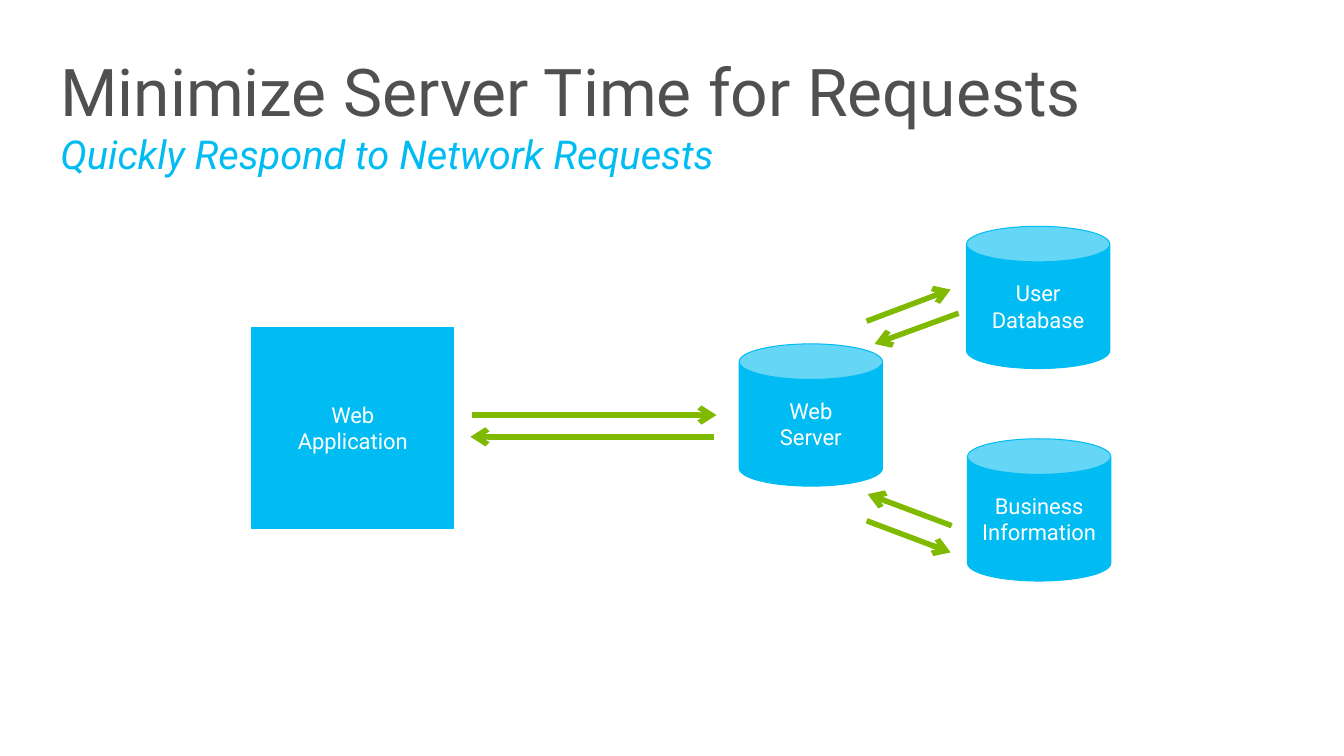
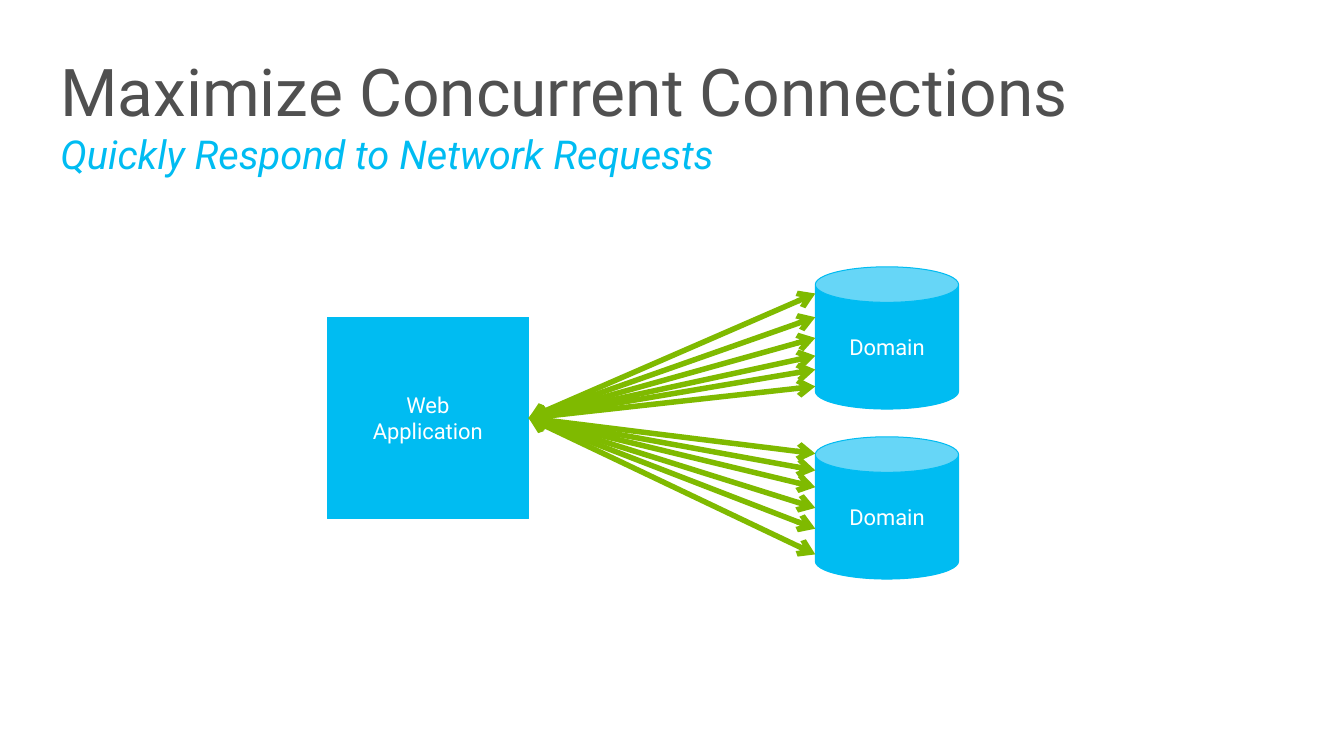
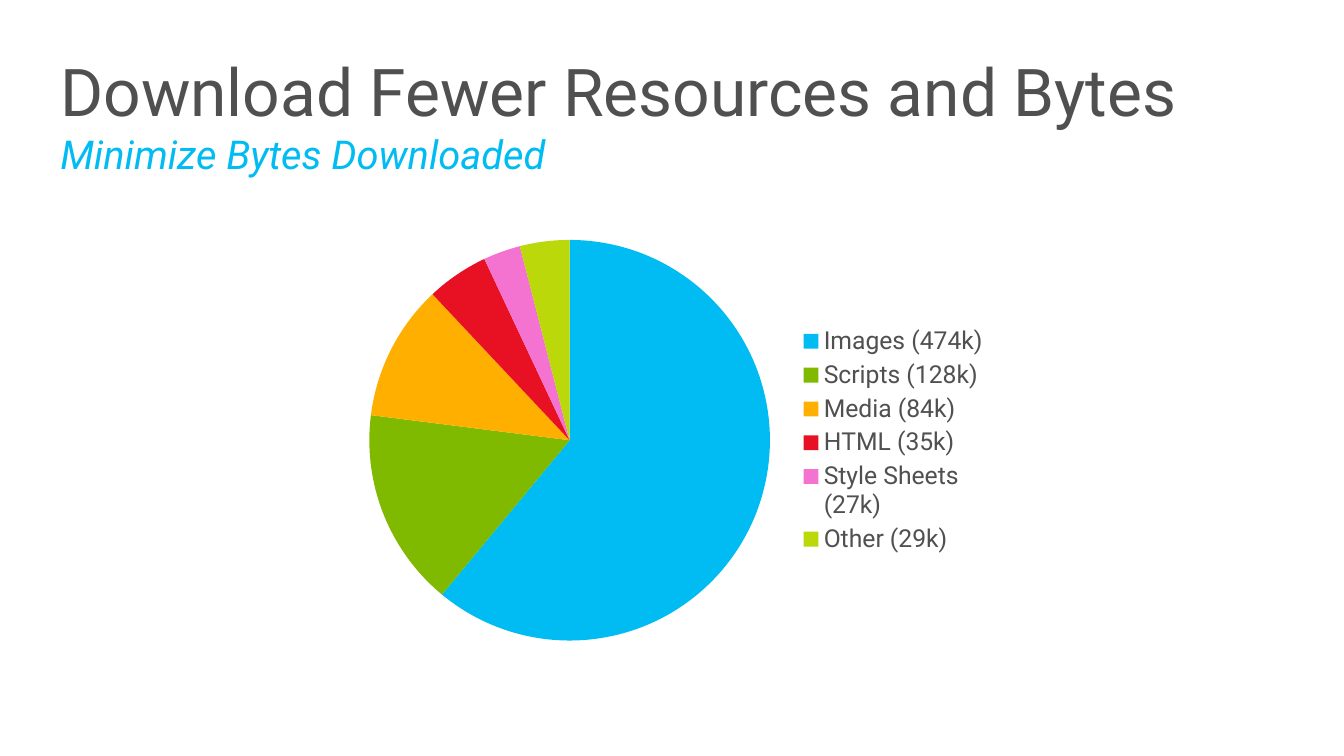
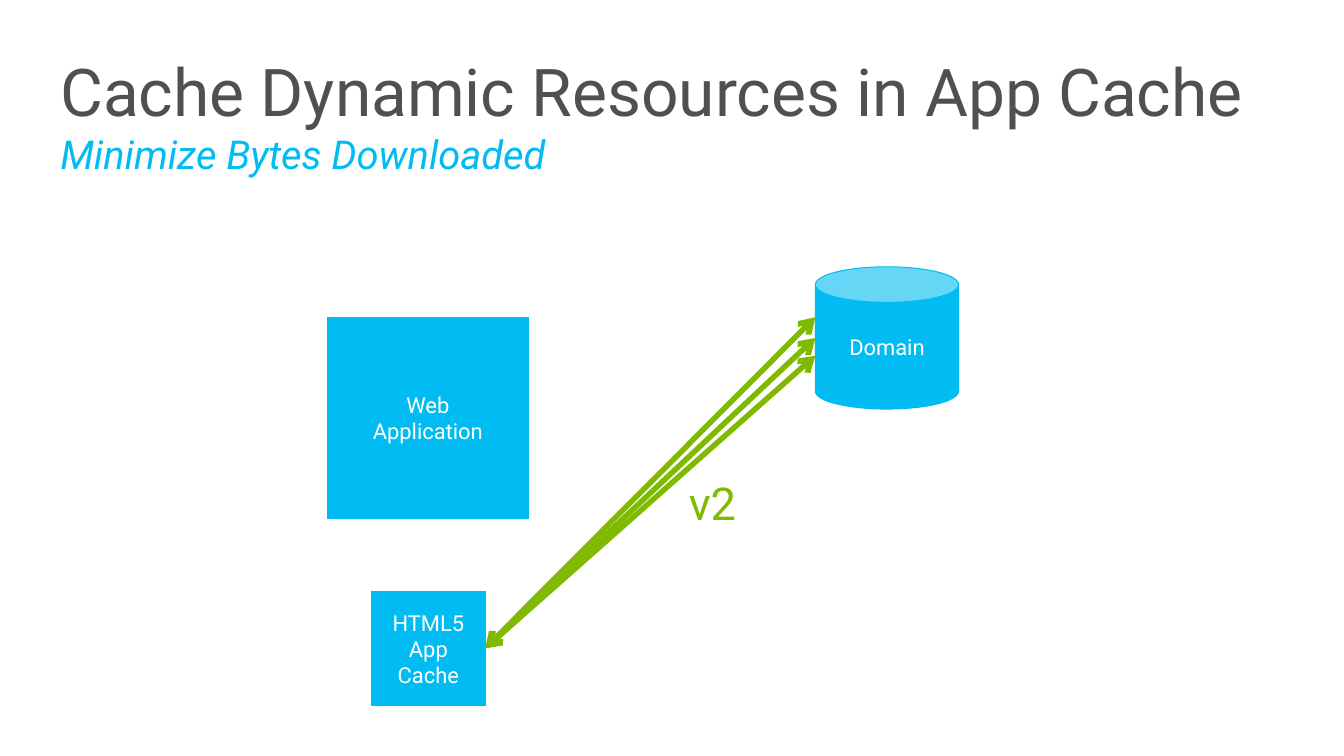
from dataclasses import dataclass

from lxml import etree
from pptx import Presentation
from pptx.chart.data import CategoryChartData
from pptx.dml.color import RGBColor
from pptx.enum.chart import XL_CHART_TYPE, XL_LEGEND_POSITION
from pptx.enum.shapes import MSO_CONNECTOR, MSO_SHAPE
from pptx.enum.text import MSO_ANCHOR, MSO_AUTO_SIZE, PP_ALIGN
from pptx.oxml.ns import qn
from pptx.util import Inches, Pt

BOX, CAN = MSO_SHAPE.RECTANGLE, MSO_SHAPE.CAN
STRAIGHT = MSO_CONNECTOR.STRAIGHT
LEFT, CENTER = PP_ALIGN.LEFT, PP_ALIGN.CENTER
TOP, MIDDLE = MSO_ANCHOR.TOP, MSO_ANCHOR.MIDDLE
NO_FIT = MSO_AUTO_SIZE.NONE
PIE, RIGHT = XL_CHART_TYPE.PIE, XL_LEGEND_POSITION.RIGHT


@dataclass(frozen=True)
class Theme:
    font: str = "Roboto"
    blue: RGBColor = RGBColor(0x00, 0xBC, 0xF2)
    green: RGBColor = RGBColor(0x7F, 0xBA, 0x00)
    orange: RGBColor = RGBColor(0xFF, 0xAF, 0x00)
    red: RGBColor = RGBColor(0xE8, 0x11, 0x23)
    pink: RGBColor = RGBColor(0xF4, 0x72, 0xD0)
    lime: RGBColor = RGBColor(0xBA, 0xD8, 0x0A)
    gray: RGBColor = RGBColor(0x50, 0x50, 0x50)
    white: RGBColor = RGBColor(0xFF, 0xFF, 0xFF)
    title: Pt = Pt(48)
    subtitle: Pt = Pt(29)
    version: Pt = Pt(33)
    legend: Pt = Pt(18)
    label: Pt = Pt(16)
    hairline: Pt = Pt(0.75)
    arrow: Pt = Pt(4)


theme = Theme()
APP_SIZE = (2.04, 2.04)
CACHE_SIZE = (1.15, 1.15)
CAN_SIZE = (1.45, 1.44)


def write_lines(frame, lines, align, anchor, inset=(0, 0)):
    """Write (text, size, color, italic) lines into one paragraph."""
    frame.word_wrap = True
    frame.auto_size = NO_FIT
    frame.vertical_anchor = anchor
    frame.margin_left = frame.margin_right = Inches(inset[0])
    frame.margin_top = frame.margin_bottom = Inches(inset[1])
    para = frame.paragraphs[0]
    para.alignment = align
    for number, (text, size, color, italic) in enumerate(lines):
        if number:
            para.add_line_break()
        span = para.add_run()
        span.text = text
        span.font.name = theme.font
        span.font.size = size
        span.font.color.rgb = color
        span.font.italic = italic


def add_arrow(page, start, end, both_ways=False):
    """Draw a green arrow between two points given in inches."""
    arrow = page.shapes.add_connector(STRAIGHT, *map(Inches, start + end))
    arrow.line.color.rgb = theme.green
    arrow.line.width = theme.arrow
    line = arrow.line._get_or_add_ln()
    for side in ("a:headEnd", "a:tailEnd") if both_ways else ("a:tailEnd",):
        etree.SubElement(line, qn(side), type="arrow")
    etree.SubElement(arrow._element.spPr, qn("a:effectLst"))


deck = Presentation()
deck.slide_width, deck.slide_height = Inches(13.6), Inches(7.65)

# Titles
respond = "Quickly Respond to Network Requests"
minimize = "Minimize Bytes Downloaded"
titles = [
    ("Minimize Server Time for Requests", respond),
    ("Maximize Concurrent Connections", respond),
    ("Download Fewer Resources and Bytes", minimize),
    ("Cache Dynamic Resources in App Cache", minimize),
]
for heading, subheading in titles:
    page = deck.slides.add_slide(deck.slide_layouts[5])
    title = page.shapes.title
    title.left, title.top = Inches(0.61), Inches(0.51)
    title.width, title.height = Inches(12.24), Inches(0.81)
    write_lines(title.text_frame, [
        (heading, theme.title, theme.gray, False),
        (subheading, theme.subtitle, theme.blue, True),
    ], LEFT, TOP)
server_page, connections_page, bytes_page, cache_page = deck.slides

# Boxes and cylinders of the three diagrams
nodes = [
    (server_page, BOX, "Web\nApplication", (2.55, 3.31), APP_SIZE),
    (server_page, CAN, "Web\nServer", (7.48, 3.48), CAN_SIZE),
    (server_page, CAN, "User\nDatabase", (9.78, 2.29), CAN_SIZE),
    (server_page, CAN, "Business\nInformation", (9.79, 4.44), CAN_SIZE),
    (connections_page, BOX, "Web\nApplication", (3.31, 3.21), APP_SIZE),
    (connections_page, CAN, "Domain", (8.25, 2.7), CAN_SIZE),
    (connections_page, CAN, "Domain", (8.25, 4.42), CAN_SIZE),
    (cache_page, BOX, "Web\nApplication", (3.31, 3.21), APP_SIZE),
    (cache_page, CAN, "Domain", (8.25, 2.7), CAN_SIZE),
    (cache_page, BOX, "HTML5\nApp\nCache", (3.76, 5.99), CACHE_SIZE),
]
for page, kind, label, position, size in nodes:
    node = page.shapes.add_shape(kind, *map(Inches, position + size))
    node.shadow.inherit = False
    node.fill.solid()
    node.fill.fore_color.rgb = theme.blue
    node.line.color.rgb = theme.blue
    node.line.width = theme.hairline
    lines = [(text, theme.label, theme.white, False) for text in label.split("\n")]
    write_lines(node.text_frame, lines, CENTER, MIDDLE, (0.1, 0.05))

# Requests and responses
for start, end in [
    ((4.78, 4.2), (7.25, 4.2)),
    ((7.23, 4.42), (4.76, 4.42)),
    ((8.77, 3.25), (9.62, 2.93)),
    ((9.7, 3.17), (8.85, 3.48)),
    ((9.63, 5.32), (8.78, 5)),
    ((8.77, 5.27), (9.62, 5.59)),
]:
    add_arrow(server_page, start, end)

# Two-way connections fanning out to the domains
for page, start, heights in [
    (connections_page, (5.35, 4.23), (2.97, 3.21, 3.42, 3.6, 3.74, 3.91,
                                      4.59, 4.76, 4.93, 5.14, 5.35, 5.61)),
    (cache_page, (4.91, 6.56), (3.21, 3.42, 3.6)),
]:
    for height in heights:
        add_arrow(page, start, (8.25, height), both_ways=True)

# Cache version
version = cache_page.shapes.add_textbox(*map(Inches, (6.97, 4.81, 0.56, 0.56)))
write_lines(version.text_frame, [("v2", theme.version, theme.green, False)], LEFT, TOP)

# Share of bytes by resource type
resources = [
    ("Images (474k)", 61, theme.blue),
    ("Scripts (128k)", 16, theme.green),
    ("Media (84k)", 11, theme.orange),
    ("HTML (35k)", 5, theme.red),
    ("Style Sheets (27k)", 3, theme.pink),
    ("Other (29k)", 4, theme.lime),
]
data = CategoryChartData()
data.categories = [name for name, share, color in resources]
data.add_series("Series 1", [share for name, share, color in resources])
chart = bytes_page.shapes.add_chart(
    PIE, *map(Inches, (3.48, 2.29, 6.63, 4.33)), data).chart
chart.has_title = False
chart.has_legend = True
chart.legend.position = RIGHT
chart.legend.include_in_layout = False
for font in (chart.font, chart.legend.font):
    font.name = theme.font
    font.size = theme.legend
    font.color.rgb = theme.gray
pie = chart.plots[0]
pie.vary_by_categories = True
for number, (name, share, color) in enumerate(resources):
    wedge = pie.series[0].points[number].format
    wedge.fill.solid()
    wedge.fill.fore_color.rgb = color

deck.save("out.pptx")
